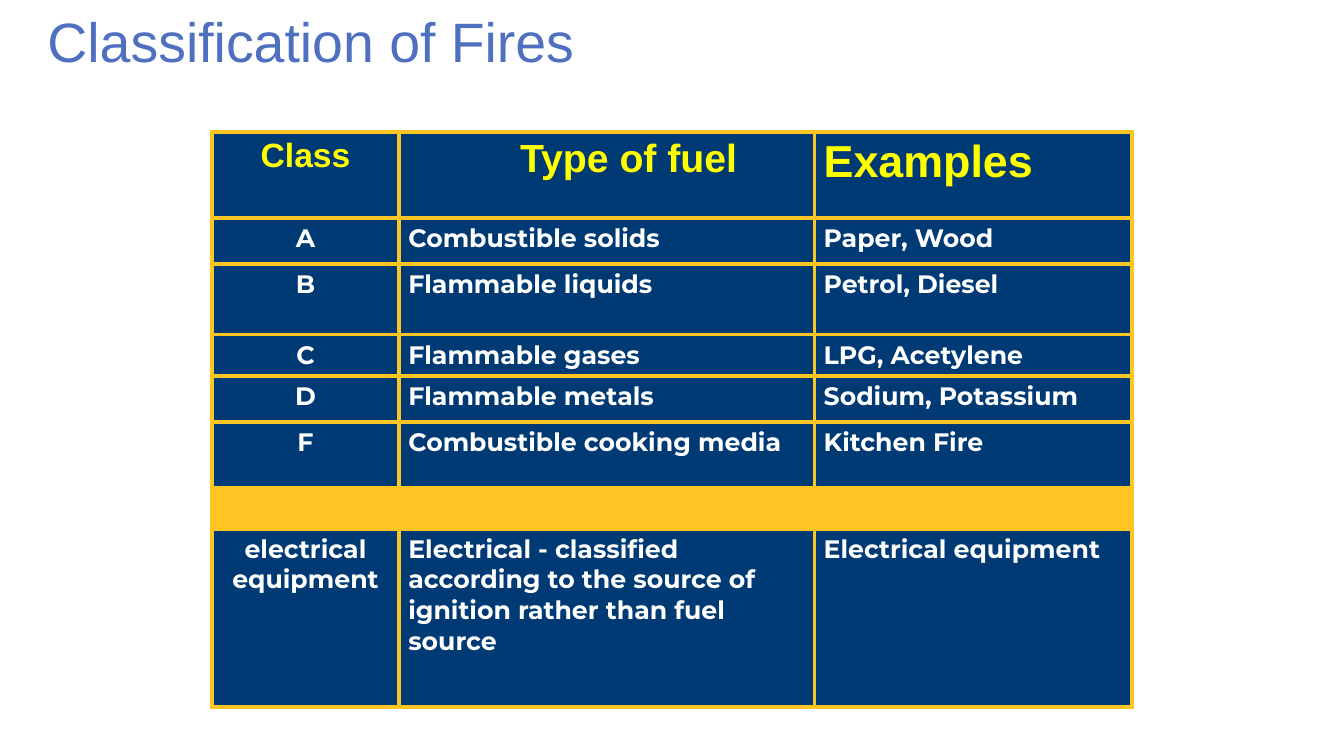
from dataclasses import dataclass
from pptx import Presentation
from pptx.dml.color import RGBColor as RGB
from pptx.enum.text import MSO_ANCHOR as Anchor, PP_ALIGN as Align
from pptx.oxml.ns import qn
from pptx.util import Inches, Pt
from lxml.etree import SubElement


@dataclass(frozen=True)
class Theme:
    title: str = "4F70C0"
    heading: str = "FFFF00"
    text: str = "FFFFFF"
    cell: str = "003A74"
    gold: str = "FFC523"
    title_font: str = "Arial"
    body_font: str = "Montserrat"
    title_size: float = 39.6
    heading_sizes: tuple = (24, 28, 32)
    body_size: float = 18
    border: float = 3


HEADINGS = ["Class", "Type of fuel", "Examples"]
FIRES = [
    ["A", "Combustible solids", "Paper, Wood"],
    ["B", "Flammable liquids", "Petrol, Diesel"],
    ["C", "Flammable gases", "LPG, Acetylene"],
    ["D", "Flammable metals", "Sodium, Potassium"],
    ["F", "Combustible cooking media", "Kitchen Fire"],
    [],
    ["electrical equipment",
     "Electrical - classified according to the source of ignition rather than fuel source",
     "Electrical equipment"],
]
COL_WIDTHS = [1.86, 4.12, 3.15]
ROW_HEIGHTS = [0.85, 0.46, 0.7, 0.41, 0.46, 0.65, 0.4, 1.77]
HEADING_INDENT = 1.11


class SlideBuilder:
    def __init__(self, slide, theme):
        self.slide = slide
        self.theme = theme

    def format(self, p, font, size, color, bold=False):
        for r in p.runs:
            r.font.name = font
            r.font.size = Pt(size)
            r.font.bold = bold
            r.font.color.rgb = RGB.from_string(color)

    def title(self, text, left, top, width, height):
        sp = self.slide.shapes.title
        sp.left, sp.top = Inches(left), Inches(top)
        sp.width, sp.height = Inches(width), Inches(height)
        tf = sp.text_frame
        tf.text = text
        tf.word_wrap = True
        tf.vertical_anchor = Anchor.MIDDLE
        p = tf.paragraphs[0]
        p.alignment = Align.LEFT
        p.line_spacing = 0.9
        self.format(p, self.theme.title_font, self.theme.title_size, self.theme.title)

    def table(self, left, top, widths, heights):
        frame = self.slide.shapes.add_table(
            len(heights), len(widths), Inches(left), Inches(top),
            Inches(sum(widths)), Inches(sum(heights)))
        table = frame.table
        table.first_row = table.horz_banding = False
        for col, width in zip(table.columns, widths):
            col.width = Inches(width)
        for row, height in zip(table.rows, heights):
            row.height = Inches(height)
        for cell in table.iter_cells():
            self.borders(cell)
            self.fill(cell, self.theme.cell)
        return table

    def borders(self, cell):
        tcPr = cell._tc.get_or_add_tcPr()
        for side in ("a:lnL", "a:lnR", "a:lnT", "a:lnB"):
            ln = SubElement(tcPr, qn(side), w=str(Pt(self.theme.border)))
            solid = SubElement(ln, qn("a:solidFill"))
            SubElement(solid, qn("a:srgbClr"), val=self.theme.gold)

    def fill(self, cell, color):
        cell.fill.solid()
        cell.fill.fore_color.rgb = RGB.from_string(color)

    def cell_text(self, cell, text, centered, font, size, color):
        cell.margin_left = cell.margin_right = Inches(0.09)
        cell.margin_top = cell.margin_bottom = Inches(0.05)
        p = cell.text_frame.paragraphs[0]
        p.text = text
        p.alignment = Align.CENTER if centered else Align.LEFT
        self.format(p, font, size, color, bold=True)
        return p

    def heading_row(self, table, headings):
        t = self.theme
        for c, (text, size) in enumerate(zip(headings, t.heading_sizes)):
            p = self.cell_text(table.cell(0, c), text, c == 0, t.title_font, size, t.heading)
            if c == 1:
                p._p.get_or_add_pPr().set("marL", str(Inches(HEADING_INDENT)))

    def body_row(self, table, row, texts):
        t = self.theme
        for c, text in enumerate(texts):
            self.cell_text(table.cell(row, c), text, c == 0, t.body_font, t.body_size, t.text)

    def divider_row(self, table, row):
        for cell in table.rows[row].cells:
            self.fill(cell, self.theme.gold)


def main():
    prs = Presentation()
    prs.slide_width, prs.slide_height = Inches(13.33), Inches(7.5)
    s = SlideBuilder(prs.slides.add_slide(prs.slide_layouts[5]), Theme())
    s.title("Classification of Fires", 0.37, 0.13, 9.69, 0.62)
    table = s.table(2.1, 1.31, COL_WIDTHS, ROW_HEIGHTS)
    s.heading_row(table, HEADINGS)
    for row, texts in enumerate(FIRES, start=1):
        if texts:
            s.body_row(table, row, texts)
        else:
            s.divider_row(table, row)
    prs.save("out.pptx")


if __name__ == "__main__":
    main()
